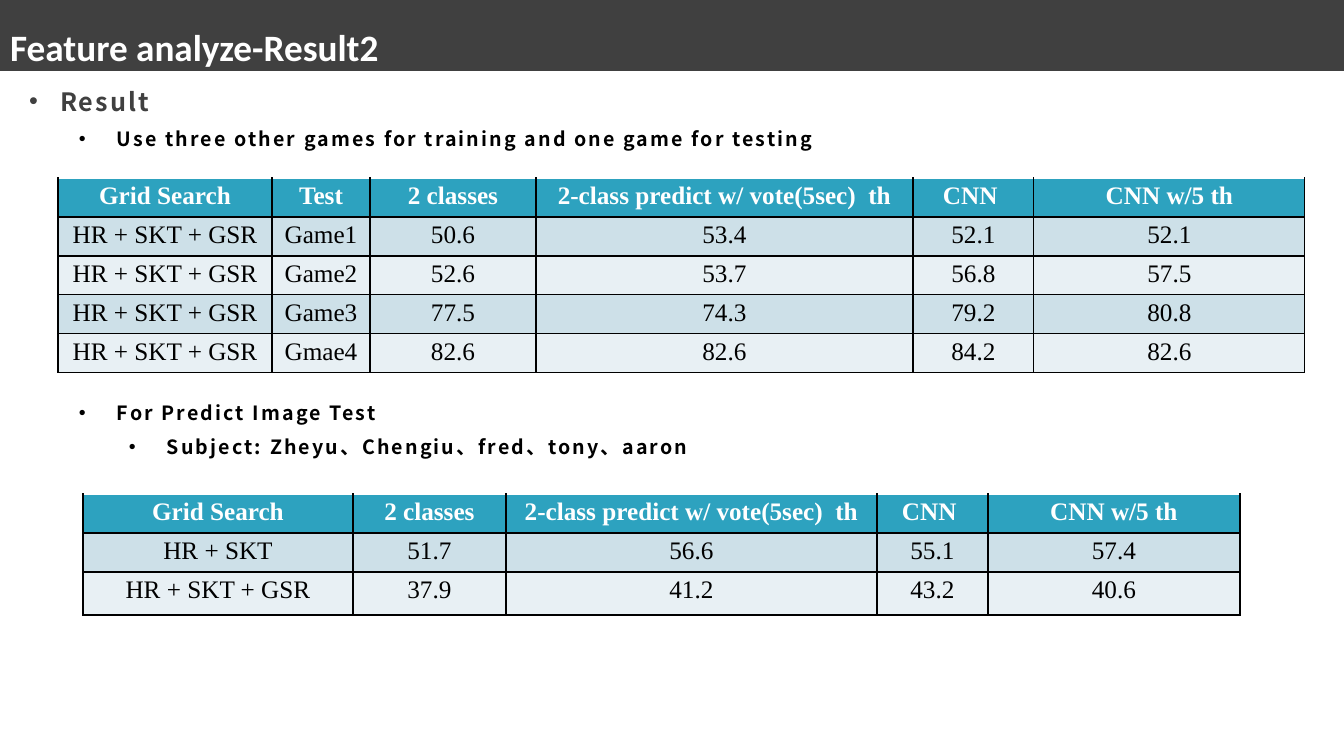
from lxml.etree import SubElement
from pptx import Presentation
from pptx.dml.color import RGBColor
from pptx.enum.text import MSO_ANCHOR as ANCHOR, MSO_AUTO_SIZE as AUTO, PP_ALIGN as ALIGN
from pptx.oxml.ns import qn
from pptx.util import Pt

TITLE = "Feature analyze-Result2"
# text, level, size, colour, left margin px, hanging px, space before pt
BULLETS = [
    ("Result", 0, 18, "404040", 31, 31, 0),
    ("Use three other games for training and one game for testing", 1, 14, "000000", 88, 38, 0),
    ("For Predict Image Test", 1, 14, "000000", 88, 38, 172),
    ("Subject: Zheyu、Chengiu、fred、tony、aaron", 2, 14, "000000", 138, 38, 0),
]
VOTE = "2-class predict w/ vote(5sec)  th"
TABLES = [
    dict(left=58, top=178, cols=[214, 98, 166, 377, 121, 271], heights=[39] * 5, rows=[
        ("Grid Search", "Test", "2 classes", VOTE, "CNN ", "CNN w/5 th"),
        ("HR + SKT + GSR", "Game1", "50.6", "53.4", "52.1", "52.1"),
        ("HR + SKT + GSR", "Game2", "52.6", "53.7", "56.8", "57.5"),
        ("HR + SKT + GSR", "Game3", "77.5", "74.3", "79.2", "80.8"),
        ("HR + SKT + GSR", "Gmae4", "82.6", "82.6", "84.2", "82.6"),
    ]),
    dict(left=83, top=494, cols=[270, 153, 371, 111, 252], heights=[39, 39, 43], rows=[
        ("Grid Search", "2 classes", VOTE, "CNN ", "CNN w/5 th"),
        ("HR + SKT", "51.7", "56.6", "55.1", "57.4"),
        ("HR + SKT + GSR", "37.9", "41.2", "43.2", "40.6"),
    ]),
]
HEADER, BANDS = "2DA2BF", ("CDE0E8", "E8F0F4")
BLACK, WHITE = "000000", "FFFFFF"
W, H, BAR_H = 1344, 756, 71


def px(n):
    return round(n * 914400 / 100.8)


def rgb(color):
    return RGBColor.from_string(color)


def set_all(obj, **values):
    for name, value in values.items():
        setattr(obj, name, value)


def add_run(p, text, color, **font):
    r = p.add_run()
    r.text = text
    set_all(r.font, **font)
    r.font.color.rgb = rgb(color)
    return r


def add_borders(cell, top):
    """Draw 1 pt lines around a cell, black except for the given top colour."""
    tc_pr = cell._tc.get_or_add_tcPr()
    sides = [("lnL", BLACK), ("lnR", BLACK), ("lnT", top), ("lnB", BLACK)]
    for i, (tag, color) in enumerate(sides):
        ln = SubElement(tc_pr, qn("a:" + tag), w=str(Pt(1)))
        SubElement(SubElement(ln, qn("a:solidFill")), qn("a:srgbClr"), val=color)
        tc_pr.insert(i, ln)


def add_title(slide):
    sp = slide.shapes.title
    set_all(sp, left=0, top=0, width=px(W), height=px(BAR_H))
    sp.fill.solid()
    sp.fill.fore_color.rgb = rgb("404040")
    tf = sp.text_frame
    set_all(tf, auto_size=AUTO.NONE, vertical_anchor=ANCHOR.MIDDLE, word_wrap=True)
    p = tf.paragraphs[0]
    set_all(p, alignment=ALIGN.LEFT, line_spacing=1.5)
    add_run(p, TITLE, WHITE, size=Pt(26.6), name="Calibri", bold=True)


def add_bullets(slide):
    tf = slide.shapes.add_textbox(px(18), px(83), px(1326), px(607)).text_frame
    set_all(tf, word_wrap=True, margin_left=px(11), margin_right=px(9),
            margin_top=0, margin_bottom=0)
    for i, (text, level, size, color, margin, hang, before) in enumerate(BULLETS):
        p = tf.add_paragraph() if i else tf.paragraphs[0]
        set_all(p, level=level, line_spacing=1.1, space_before=Pt(before), space_after=Pt(5.6))
        p_pr = p._p.get_or_add_pPr()
        p_pr.set("marL", str(px(margin)))
        p_pr.set("indent", str(-px(hang)))
        SubElement(p_pr, qn("a:buFont"), typeface="Arial")
        SubElement(p_pr, qn("a:buChar"), char="•")
        r = add_run(p, text, color, size=Pt(size), name="Noto Sans CJK SC", bold=True)
        r_pr = r.font._element
        r_pr.set("spc", "150")
        SubElement(r_pr, qn("a:ea"), typeface="Noto Sans CJK SC")


def add_results(slide, left, top, cols, heights, rows):
    table = slide.shapes.add_table(len(rows), len(cols), px(left), px(top),
                                   px(sum(cols)), px(sum(heights))).table
    for col, width in zip(table.columns, cols):
        col.width = px(width)
    for i, (row, height, values) in enumerate(zip(table.rows, heights, rows)):
        row.height = px(height)
        head = i == 0
        for cell, value in zip(row.cells, values):
            set_all(cell, margin_left=px(9), margin_right=px(9),
                    margin_top=px(4), margin_bottom=px(4))
            cell.fill.solid()
            cell.fill.fore_color.rgb = rgb(HEADER if head else BANDS[(i - 1) % 2])
            add_borders(cell, WHITE if head else BLACK)
            p = cell.text_frame.paragraphs[0]
            p.alignment = ALIGN.CENTER
            add_run(p, value, WHITE if head else BLACK,
                    size=Pt(18), name="Times New Roman", bold=head)


def main():
    prs = Presentation()
    set_all(prs, slide_width=px(W), slide_height=px(H))
    slide = prs.slides.add_slide(prs.slide_layouts[5])
    add_title(slide)
    add_bullets(slide)
    for results in TABLES:
        add_results(slide, **results)
    prs.save("out.pptx")


if __name__ == "__main__":
    main()
